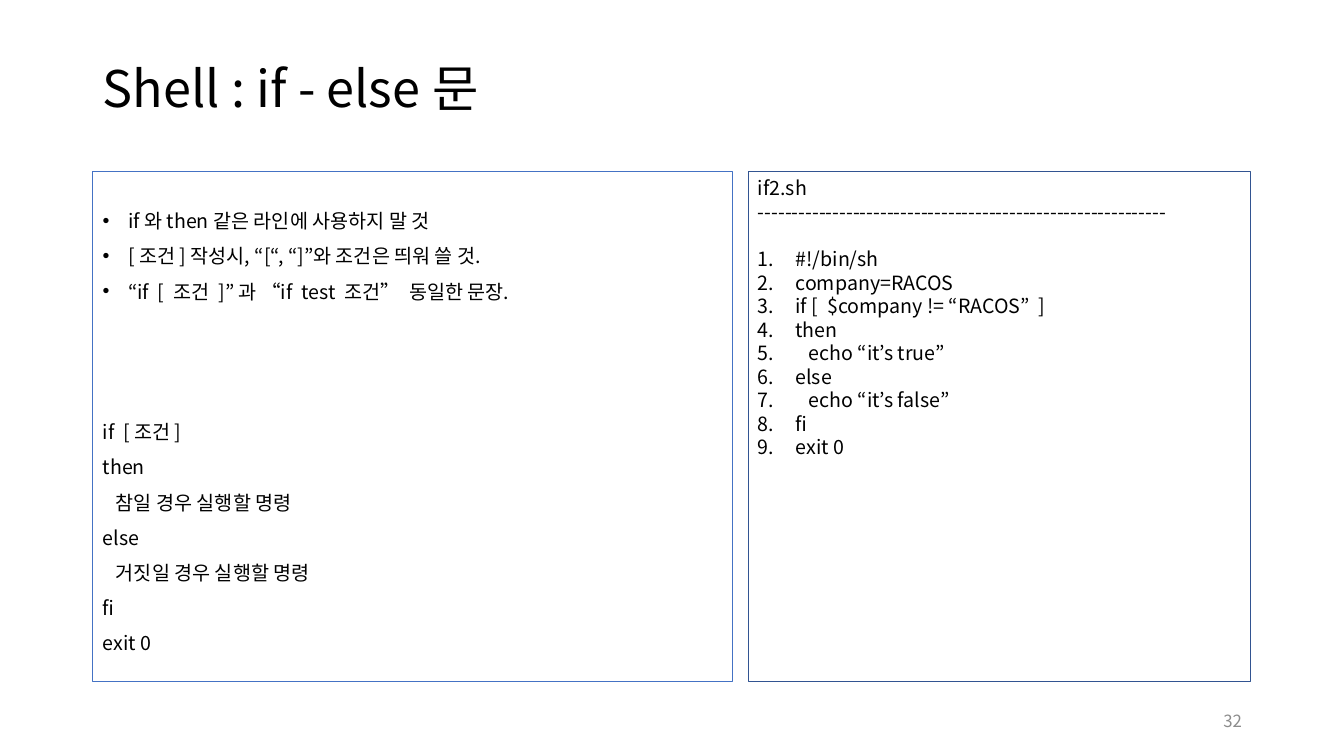
from lxml.etree import SubElement
from pptx import Presentation
from pptx.dml.color import RGBColor
from pptx.enum.shapes import MSO_SHAPE as Shape
from pptx.enum.text import MSO_ANCHOR as Anchor, PP_ALIGN as Align
from pptx.oxml.ns import qn
from pptx.util import Cm, Pt

FONT = "Noto Sans CJK KR"
BULLET = ("a:buChar", {"char": "•"})
NUMBER = ("a:buAutoNum", {"type": "arabicPeriod"})

RULES = [
    "if 와 then 같은 라인에 사용하지 말 것",
    "[ 조건 ] 작성시, “[“, “]”와 조건은 띄워 쓸 것.",
    "“if  [  조건  ]” 과 “if  test  조건”  동일한 문장.",
]
SYNTAX = [
    "if  [ 조건 ]",
    "then",
    "   참일 경우 실행할 명령",
    "else",
    "   거짓일 경우 실행할 명령",
    "fi",
    "exit 0",
]
SCRIPT_HEADING = ["if2.sh", "-" * 60]
SCRIPT_LINES = [
    "#!/bin/sh",
    "company=RACOS",
    "if [  $company != “RACOS”  ]",
    "then",
    "   echo “it’s true”",
    "else",
    "   echo “it’s false”",
    "fi",
    "exit 0",
]


def color(hex_code):
    return RGBColor.from_string(hex_code)


def write(frame, text, size=14, ink="000000", align=Align.LEFT, spacing=None,
          before=0, marker=None, indent=0):
    """Fill the frame's empty first paragraph, or append a new one."""
    paragraph = frame.paragraphs[0]
    if paragraph.runs:
        paragraph = frame.add_paragraph()
    properties = paragraph._p.get_or_add_pPr()
    if marker:
        tag, attributes = marker
        properties.set("marL", str(Cm(indent)))
        properties.set("indent", str(-Cm(indent)))
        SubElement(properties, qn("a:buFont"), typeface="Arial" if marker is BULLET else FONT)
        SubElement(properties, qn(tag), attributes)
    paragraph.alignment = align
    paragraph.line_spacing = spacing
    paragraph.space_before = Pt(before)
    run = paragraph.add_run()
    run.text = text
    run.font.size = Pt(size)
    run.font.color.rgb = color(ink)
    run.font.name = FONT
    SubElement(run._r.get_or_add_rPr(), qn("a:ea"), typeface=FONT)


def place_title(slide, text, left, top, width, height):
    title = slide.shapes.title
    title.left, title.top, title.width, title.height = map(Cm, (left, top, width, height))
    title.text_frame.vertical_anchor = Anchor.MIDDLE
    write(title.text_frame, text, size=36, spacing=0.9)


def add_panel(slide, left, top, width, height, outline, weight):
    """Draw an outlined box and return its text frame."""
    panel = slide.shapes.add_shape(Shape.RECTANGLE, *map(Cm, (left, top, width, height)))
    panel.shadow.inherit = False
    panel.fill.background()
    panel.line.color.rgb = color(outline)
    panel.line.width = Pt(weight)
    panel.text_frame.word_wrap = True
    panel.text_frame.vertical_anchor = Anchor.TOP
    return panel.text_frame


def add_syntax_panel(slide, left, top, width, height):
    frame = add_panel(slide, left, top, width, height, "4472C4", 0.75)
    frame.margin_top = Cm(1.01)
    for i, rule in enumerate(RULES):
        write(frame, rule, spacing=Pt(15.1), before=10 if i else 0, marker=BULLET, indent=0.64)
    for i, line in enumerate(SYNTAX):
        write(frame, line, spacing=Pt(15.1), before=10 if i else 85.4)


def add_script_panel(slide, left, top, width, height):
    frame = add_panel(slide, left, top, width, height, "325491", 0.25)
    for line in SCRIPT_HEADING:
        write(frame, line, spacing=Pt(16.8))
    for i, line in enumerate(SCRIPT_LINES):
        write(frame, line, spacing=Pt(16.8), before=0 if i else 16.8, marker=NUMBER, indent=0.95)


def add_page_number(slide, number, left, top, width, height):
    box = slide.shapes.add_textbox(*map(Cm, (left, top, width, height)))
    box.text_frame.word_wrap = True
    box.text_frame.vertical_anchor = Anchor.MIDDLE
    write(box.text_frame, number, size=12, ink="8C8C8C", align=Align.RIGHT)


def main():
    deck = Presentation()
    deck.slide_width, deck.slide_height = Cm(33.87), Cm(19.05)
    slide = deck.slides.add_slide(deck.slide_layouts[5])
    place_title(slide, "Shell : if - else 문", 2.34, 1.02, 29.21, 2.57)
    add_syntax_panel(slide, 2.34, 4.32, 16.13, 12.85)
    add_script_panel(slide, 18.85, 4.32, 12.67, 12.85)
    add_page_number(slide, "32", 23.93, 17.65, 7.62, 1.02)
    deck.save("out.pptx")


if __name__ == "__main__":
    main()
